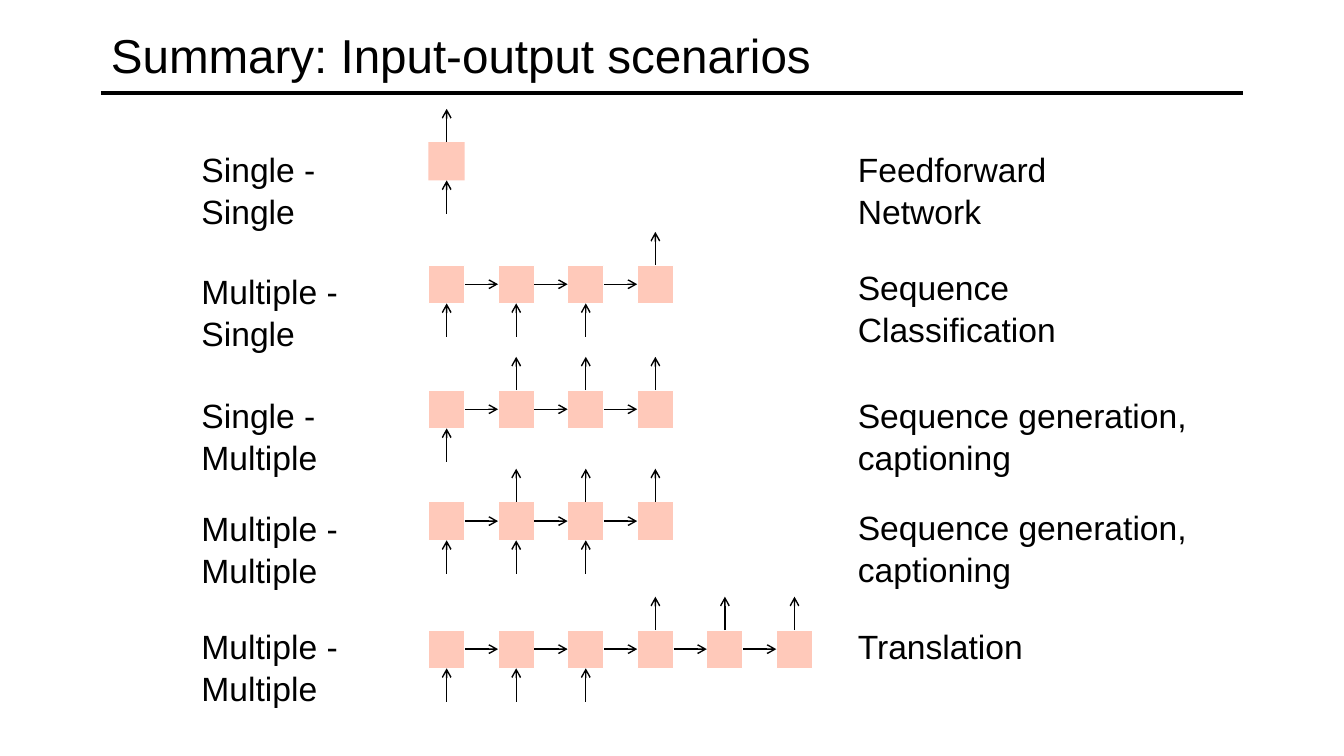
from dataclasses import dataclass

from lxml import etree
from pptx import Presentation
from pptx.dml.color import RGBColor
from pptx.enum.shapes import MSO_CONNECTOR as CONNECTOR, MSO_SHAPE as SHAPE
from pptx.enum.text import MSO_ANCHOR as ANCHOR, MSO_AUTO_SIZE as AUTO_SIZE, PP_ALIGN as ALIGN
from pptx.oxml.ns import qn
from pptx.util import Inches, Pt

COLORS = {"ink": "000000", "cell": "FFC9BA", "outline": "FFFFFF"}
FONT = "Arial"
TOP, LEFT, BOTTOM, RIGHT = range(4)  # connection sites of a rectangle

CELL_W, CELL_H = 0.36, 0.38
CELL_PITCH = 0.69
ARROW = 0.33
LABEL_X, CHAIN_X, USE_X = 1.9, 4.25, 8.41
LABEL_W = 2


@dataclass
class Scenario:
    label: str
    label_y: float
    use: str
    use_y: float
    use_w: float
    chain_y: float
    cells: int
    inputs: range
    outputs: range


SCENARIOS = [
    Scenario("Single - Single", 1.41, "Feedforward Network", 1.41, 3.26,
             1.41, 1, range(1), range(1)),
    Scenario("Multiple - Single", 2.62, "Sequence Classification", 2.58, 3.26,
             2.63, 4, range(3), range(3, 4)),
    Scenario("Single - Multiple", 3.85, "Sequence generation, captioning", 3.85, 3.76,
             3.87, 4, range(1), range(1, 4)),
    Scenario("Multiple - Multiple", 4.97, "Sequence generation, captioning", 4.96, 3.59,
             4.98, 4, range(3), range(1, 4)),
    Scenario("Multiple - Multiple", 6.14, "Translation", 6.14, 3.26,
             6.25, 6, range(3), range(3, 6)),
]


def color(name):
    return RGBColor.from_string(COLORS[name])


def add_words(paragraph, words, size):
    run = paragraph.add_run()
    run.text = words
    run.font.name = FONT
    run.font.size = Pt(size)
    run.font.color.rgb = color("ink")


def add_text(slide, words, x, y, width):
    box = slide.shapes.add_textbox(Inches(x), Inches(y), Inches(width), Inches(0.91))
    frame = box.text_frame
    frame.word_wrap = True
    frame.auto_size = AUTO_SIZE.SHAPE_TO_FIT_TEXT
    frame.paragraphs[0].line_spacing = 1.05
    add_words(frame.paragraphs[0], words, 24)


def add_line(slide, x1, y1, x2, y2, width=1, arrow=True):
    line = slide.shapes.add_connector(
        CONNECTOR.STRAIGHT, Inches(x1), Inches(y1), Inches(x2), Inches(y2))
    line.line.color.rgb = color("ink")
    line.line.width = Pt(width)
    if arrow:
        etree.SubElement(line.line._get_or_add_ln(), qn("a:tailEnd"), type="arrow")
    etree.SubElement(line._element.spPr, qn("a:effectLst"))
    return line


def add_cell(slide, x, y, outlined):
    cell = slide.shapes.add_shape(
        SHAPE.RECTANGLE, Inches(x), Inches(y), Inches(CELL_W), Inches(CELL_H))
    cell.shadow.inherit = False
    cell.fill.solid()
    cell.fill.fore_color.rgb = color("cell")
    if outlined:
        cell.line.color.rgb = color("outline")
        cell.line.width = Pt(0.75)
    else:
        cell.line.fill.background()
    return cell


def add_chain(slide, scenario, x, y):
    """Row of cells joined left to right, with input and output arrows."""
    previous = None
    for i in range(scenario.cells):
        left = x + i * CELL_PITCH
        center, middle = left + CELL_W / 2, y + CELL_H / 2
        cell = add_cell(slide, left, y, outlined=scenario.cells > 1)
        if previous is not None:
            step = add_line(slide, left - ARROW, middle, left, middle)
            step.begin_connect(previous, RIGHT)
            step.end_connect(cell, LEFT)
        if i in scenario.inputs:
            bottom = y + CELL_H
            feed = add_line(slide, center, bottom + ARROW, center, bottom)
            feed.end_connect(cell, BOTTOM)
        if i in scenario.outputs:
            result = add_line(slide, center, y, center, y - ARROW)
            result.begin_connect(cell, TOP)
        previous = cell


def add_scenario(slide, scenario):
    add_text(slide, scenario.label, LABEL_X, scenario.label_y, LABEL_W)
    add_chain(slide, scenario, CHAIN_X, scenario.chain_y)
    add_text(slide, scenario.use, USE_X, scenario.use_y, scenario.use_w)


def add_heading(slide, words, x, y, width, height):
    """Title with a rule near its lower edge."""
    title = slide.shapes.title
    title.left, title.top = Inches(x), Inches(y)
    title.width, title.height = Inches(width), Inches(height)
    frame = title.text_frame
    frame.word_wrap = True
    frame.vertical_anchor = ANCHOR.MIDDLE
    frame.paragraphs[0].alignment = ALIGN.LEFT
    add_words(frame.paragraphs[0], words, 34)
    rule_y = y + height - 0.08
    add_line(slide, x, rule_y, x + width, rule_y, width=3, arrow=False)


def main():
    prs = Presentation()
    prs.slide_width, prs.slide_height = Inches(13.33), Inches(7.5)
    slide = prs.slides.add_slide(prs.slide_layouts[5])  # title only
    add_heading(slide, "Summary: Input-output scenarios", 1, 0.08, 11.33, 0.92)
    for scenario in SCENARIOS:
        add_scenario(slide, scenario)
    prs.save("out.pptx")


if __name__ == "__main__":
    main()
